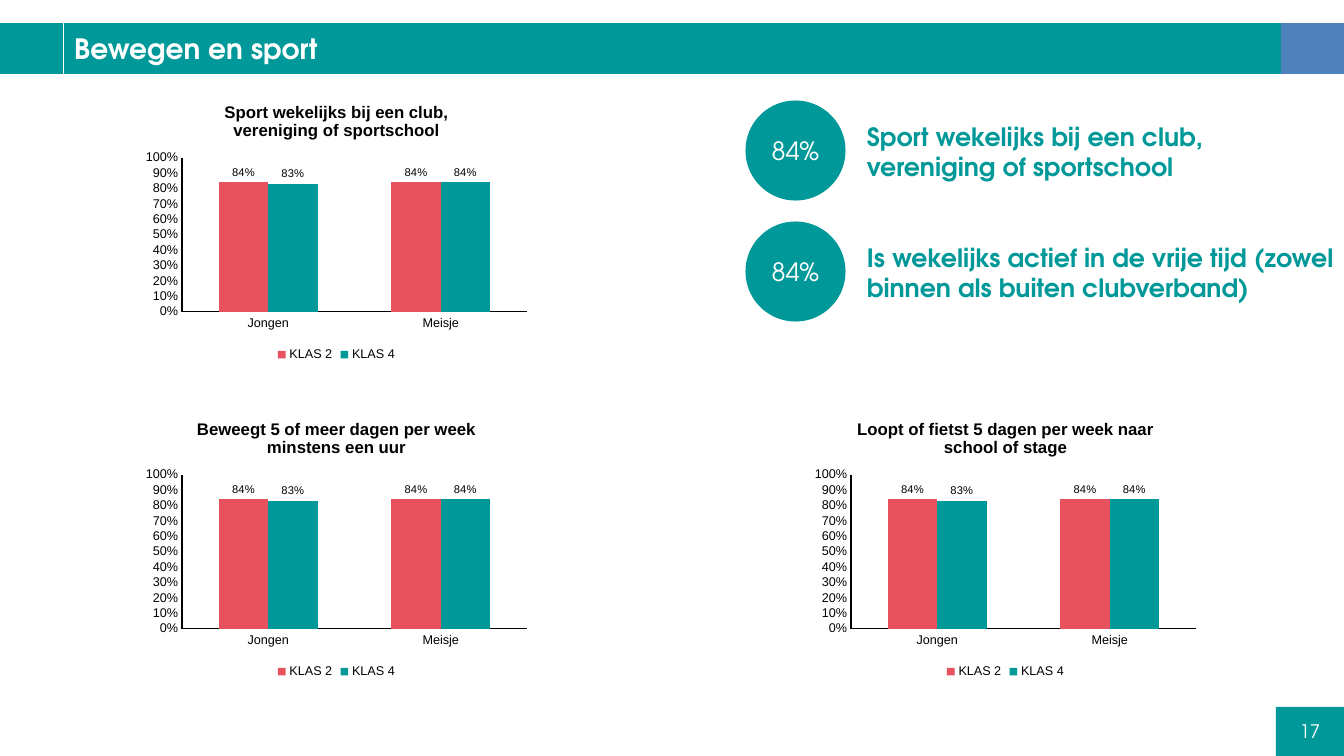
from dataclasses import dataclass

from pptx import Presentation
from pptx.chart.data import CategoryChartData
from pptx.dml.color import RGBColor
from pptx.enum.chart import XL_CHART_TYPE, XL_LABEL_POSITION as LABEL, XL_LEGEND_POSITION as LEGEND
from pptx.enum.chart import XL_TICK_MARK as TICK
from pptx.enum.shapes import MSO_SHAPE as SHAPE
from pptx.enum.text import MSO_ANCHOR as ANCHOR, MSO_AUTO_SIZE as AUTO, PP_ALIGN as ALIGN
from pptx.util import Emu, Pt

PX = 914400 / 100.8


def px(n: int) -> Emu:
    return Emu(round(n * PX))


@dataclass(frozen=True)
class Theme:
    teal: RGBColor = RGBColor(0x00, 0x98, 0x98)
    coral: RGBColor = RGBColor(0xE8, 0x52, 0x5F)
    blue: RGBColor = RGBColor(0x4F, 0x81, 0xBD)
    white: RGBColor = RGBColor(0xFF, 0xFF, 0xFF)
    black: RGBColor = RGBColor(0x00, 0x00, 0x00)
    heading_font: str = "TeX Gyre Adventor"
    chart_font: str = "Arial"
    title: float = 20
    fact: float = 18
    number: float = 13.3
    chart_title: float = 12
    axis: float = 9
    label: float = 8


@dataclass(frozen=True)
class Box:
    x: int
    y: int
    w: int
    h: int

    def emu(self) -> tuple[Emu, ...]:
        return px(self.x), px(self.y), px(self.w), px(self.h)


@dataclass(frozen=True)
class Fact:
    y: int
    width: int
    value: str
    text: str


@dataclass(frozen=True)
class SportChart:
    x: int
    y: int
    title: str


T = Theme()
BAR_Y, BAR_H = 23, 51
CATEGORIES = ("Jongen", "Meisje")
SERIES = (("KLAS 2", (0.84, 0.84), T.coral), ("KLAS 4", (0.83, 0.84), T.teal))
CLUB = "Sport wekelijks bij een club, vereniging of sportschool"
FACTS = (
    Fact(101, 444, "84%", CLUB),
    Fact(222, 506, "84%", "Is wekelijks actief in de vrije tijd (zowel binnen als buiten clubverband)"),
)
LEFT, RIGHT, TOP, BOTTOM = 138, 807, 88, 405
CHARTS = (
    SportChart(LEFT, TOP, CLUB),
    SportChart(LEFT, BOTTOM, "Beweegt 5 of meer dagen per week minstens een uur"),
    SportChart(RIGHT, BOTTOM, "Loopt of fietst 5 dagen per week naar school of stage"),
)


def style_font(font, size: float, color: RGBColor, name: str, bold: bool = False) -> None:
    font.size, font.name, font.bold = Pt(size), name, bold
    font.color.rgb = color


def write(s, text: str, size: float, color: RGBColor, bold: bool = False, align=ALIGN.LEFT) -> None:
    tf = s.text_frame
    tf.word_wrap = True
    tf.auto_size = AUTO.NONE
    tf.vertical_anchor = ANCHOR.MIDDLE
    p = tf.paragraphs[0]
    p.alignment = align
    r = p.add_run()
    r.text = text
    style_font(r.font, size, color, T.heading_font, bold)


def add_block(shapes, box: Box, color: RGBColor, kind=SHAPE.RECTANGLE):
    s = shapes.add_shape(kind, *box.emu())
    s.shadow.inherit = False
    s.fill.solid()
    s.fill.fore_color.rgb = color
    s.line.fill.background()
    return s


def add_fact(shapes, fact: Fact) -> None:
    s = add_block(shapes, Box(746, fact.y, 99, 99), T.teal, SHAPE.OVAL)
    s.line.color.rgb = T.teal
    s.line.width = Pt(0.75)
    write(s, fact.value, T.fact, T.white, align=ALIGN.CENTER)
    s = shapes.add_textbox(*Box(857, fact.y + 15, fact.width, 71).emu())
    write(s, fact.text, T.fact, T.teal, bold=True)


def style_axis(axis) -> None:
    axis.has_major_gridlines = False
    axis.major_tick_mark = axis.minor_tick_mark = TICK.NONE
    axis.format.line.color.rgb = T.black
    axis.format.line.width = Pt(1)
    style_font(axis.tick_labels.font, T.axis, T.black, T.chart_font)


def add_sport_chart(shapes, item: SportChart) -> None:
    data = CategoryChartData(number_format="0%")
    data.categories = CATEGORIES
    for name, values, _ in SERIES:
        data.add_series(name, values)
    box = Box(item.x, item.y, 397, 278)
    chart = shapes.add_chart(XL_CHART_TYPE.COLUMN_CLUSTERED, *box.emu(), data).chart
    style_font(chart.font, T.axis, T.black, T.chart_font)

    # Title and legend
    chart.has_title = True
    r = chart.chart_title.text_frame.paragraphs[0].add_run()
    r.text = item.title
    style_font(r.font, T.chart_title, T.black, T.chart_font, bold=True)
    chart.chart_title.include_in_layout = False
    chart.has_legend = True
    chart.legend.position = LEGEND.BOTTOM
    chart.legend.include_in_layout = False
    style_font(chart.legend.font, T.axis, T.black, T.chart_font)

    # Axes
    style_axis(chart.category_axis)
    axis = chart.value_axis
    style_axis(axis)
    axis.minimum_scale, axis.maximum_scale, axis.major_unit = 0, 1, 0.1
    axis.tick_labels.number_format = "0%"
    axis.tick_labels.number_format_is_linked = False

    # Columns and their labels
    plot = chart.plots[0]
    plot.gap_width, plot.overlap = 150, 0
    plot.vary_by_categories = False
    for series, (_, _, color) in zip(plot.series, SERIES):
        series.format.fill.solid()
        series.format.fill.fore_color.rgb = color
        labels = series.data_labels
        labels.show_value = True
        labels.position = LABEL.OUTSIDE_END
        labels.number_format = "0%"
        labels.number_format_is_linked = False
        style_font(labels.font, T.label, T.black, T.chart_font)


prs = Presentation()
prs.slide_width, prs.slide_height = px(1344), px(756)
slide = prs.slides.add_slide(prs.slide_layouts[5])
shapes = slide.shapes

# Title bar
title = shapes.title
title.left, title.top, title.width, title.height = Box(64, BAR_Y, 1217, BAR_H).emu()
title.fill.solid()
title.fill.fore_color.rgb = T.teal
write(title, "Bewegen en sport", T.title, T.white, bold=True)
add_block(shapes, Box(0, BAR_Y, 63, BAR_H), T.teal)
add_block(shapes, Box(1281, BAR_Y, 63, BAR_H), T.blue)

# Page number
page = add_block(shapes, Box(1276, 707, 68, 49), T.teal)
write(page, "17", T.number, T.white, align=ALIGN.CENTER)

# Key figures and charts
for fact in FACTS:
    add_fact(shapes, fact)
for item in CHARTS:
    add_sport_chart(shapes, item)

prs.save("out.pptx")
